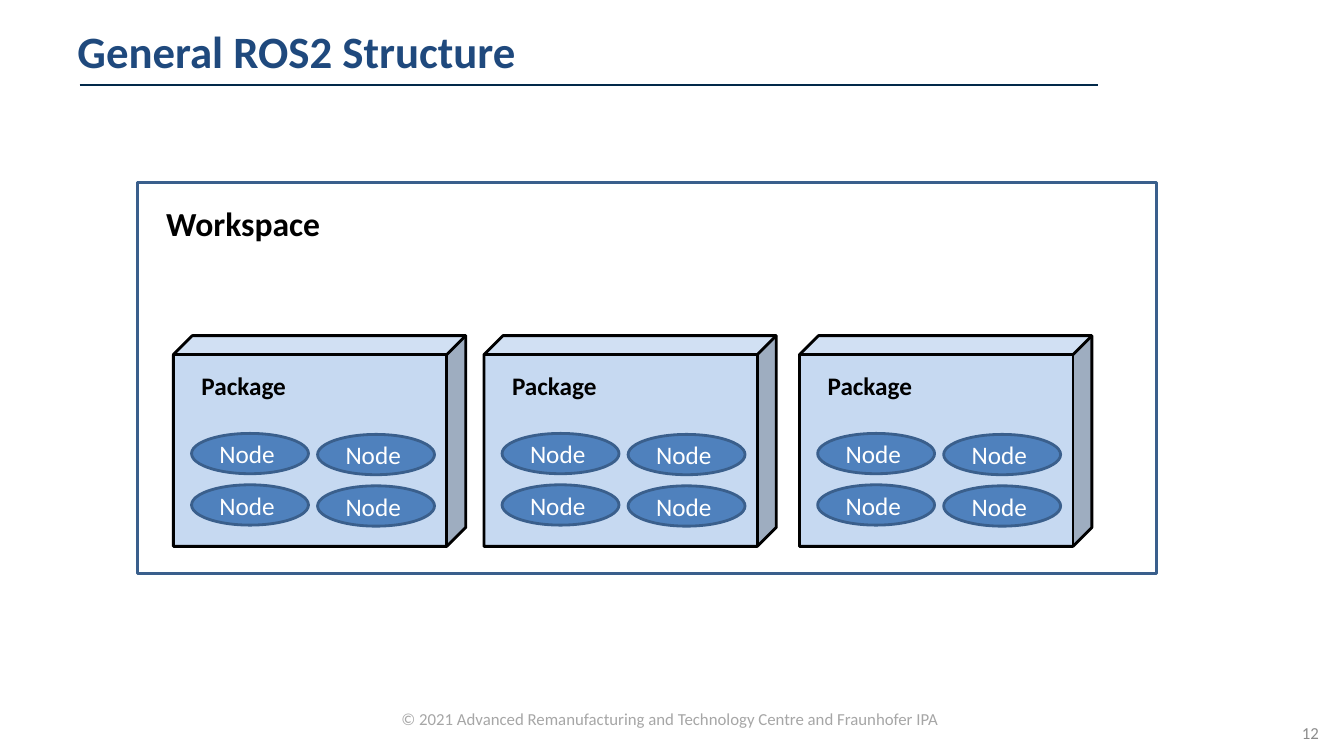
import pptx
import pptx.util
import pptx.dml.color
import pptx.enum.shapes
import pptx.enum.text
import pptx.oxml.ns
import lxml.etree
from pptx.util import Inches

# Content
TITLE = "General ROS2 Structure"
WORKSPACE = "Workspace"
PACKAGES = [
    ("Package", [["Node ", "Node "], ["Node ", "Node "]]),
    ("Package", [["Node ", "Node "], ["Node ", "Node "]]),
    ("Package", [["Node ", "Node "], ["Node ", "Node "]]),
]
FOOTER = "© 2021 Advanced Remanufacturing and Technology Centre and Fraunhofer IPA "
PAGE = "12"

THEME = {
    "font": "Calibri",
    "title": "1F497D", "rule": "02294A", "ink": "000000", "white": "FFFFFF",
    "footer": "A6A6A6", "page": "8C8C8C",
    "package": "C6D9F1", "node": "4F81BD", "edge": "3A5F8C",
    "title_size": 32, "workspace_size": 24, "label_size": 18, "small_size": 12,
}

# Layout in inches
PACKAGE_LEFTS = [1.72, 4.8, 7.93]
PACKAGE_TOP, PACKAGE_W, PACKAGE_H = 3.33, 2.9, 2.09
NODE_W, NODE_H = 1.16, 0.4
NODE_DX, NODE_DY = 0.18, 0.97      # first node, from the package corner
NODE_STEP_X, NODE_STEP_Y = 1.25, 0.51
NODE_DROP = 0.01                   # each further column sits slightly lower

SHAPES = pptx.enum.shapes.MSO_SHAPE
ALIGN = pptx.enum.text.PP_ALIGN
ANCHOR = pptx.enum.text.MSO_ANCHOR


def rgb(name):
    return pptx.dml.color.RGBColor.from_string(THEME[name])


def write(sp, text, size="label_size", color="ink", bold=False,
          align=ALIGN.LEFT, anchor=ANCHOR.TOP, wrap=True):
    tf = sp.text_frame
    tf.word_wrap = wrap
    tf.vertical_anchor = anchor
    p = tf.paragraphs[0]
    p.alignment = align
    r = p.add_run()
    r.text = text
    r.font.name = THEME["font"]
    r.font.size = pptx.util.Pt(THEME[size])
    r.font.bold = bold
    r.font.color.rgb = rgb(color)


def add_text(s, box, text, **fmt):
    write(s.shapes.add_textbox(*map(Inches, box)), text, **fmt)


def add_box(s, kind, box, fill=None, line="edge"):
    sp = s.shapes.add_shape(kind, *map(Inches, box))
    sp.shadow.inherit = False
    if fill:
        sp.fill.solid()
        sp.fill.fore_color.rgb = rgb(fill)
    else:
        sp.fill.background()
    sp.line.color.rgb = rgb(line)
    sp.line.width = pptx.util.Pt(2)
    return sp


def add_package(s, left, label, rows):
    cube = add_box(s, SHAPES.CUBE, (left, PACKAGE_TOP, PACKAGE_W, PACKAGE_H),
                   fill="package", line="ink")
    cube.adjustments[0] = 0.09
    add_text(s, (left + NODE_DX, 3.62, 1.05, 0.4), label, bold=True, wrap=False)
    for i, row in enumerate(rows):
        for j, name in enumerate(row):
            x = left + NODE_DX + j * NODE_STEP_X
            y = PACKAGE_TOP + NODE_DY + i * NODE_STEP_Y + j * NODE_DROP
            node = add_box(s, SHAPES.OVAL, (x, y, NODE_W, NODE_H), fill="node")
            write(node, name, color="white", align=ALIGN.CENTER,
                  anchor=ANCHOR.MIDDLE)


def main():
    prs = pptx.Presentation()
    prs.slide_width, prs.slide_height = Inches(13.33), Inches(7.5)
    s = prs.slides.add_slide(prs.slide_layouts[6])

    # Title and rule
    rule = s.shapes.add_connector(pptx.enum.shapes.MSO_CONNECTOR.STRAIGHT,
                                  *map(Inches, (0.79, 0.84, 10.89, 0.84)))
    rule.line.color.rgb = rgb("rule")
    rule.line.width = pptx.util.Pt(1.5)
    lxml.etree.SubElement(rule._element.spPr, pptx.oxml.ns.qn("a:effectLst"))
    add_text(s, (0.67, 0.17, 10.22, 0.67), TITLE, size="title_size",
             color="title", bold=True, anchor=ANCHOR.MIDDLE)

    # Workspace with its packages
    add_box(s, SHAPES.RECTANGLE, (1.36, 1.81, 10.11, 3.88))
    add_text(s, (1.55, 1.96, 1.74, 0.5), WORKSPACE, size="workspace_size",
             bold=True, wrap=False)
    for left, (label, rows) in zip(PACKAGE_LEFTS, PACKAGES):
        add_package(s, left, label, rows)

    # Footer and page number
    add_text(s, (0.71, 6.98, 11.91, 0.3), FOOTER, size="small_size",
             color="footer", align=ALIGN.CENTER)
    add_text(s, (12.53, 7.14, 0.65, 0.25), PAGE, size="small_size",
             color="page", align=ALIGN.RIGHT, anchor=ANCHOR.MIDDLE)

    prs.save("out.pptx")


if __name__ == "__main__":
    main()
